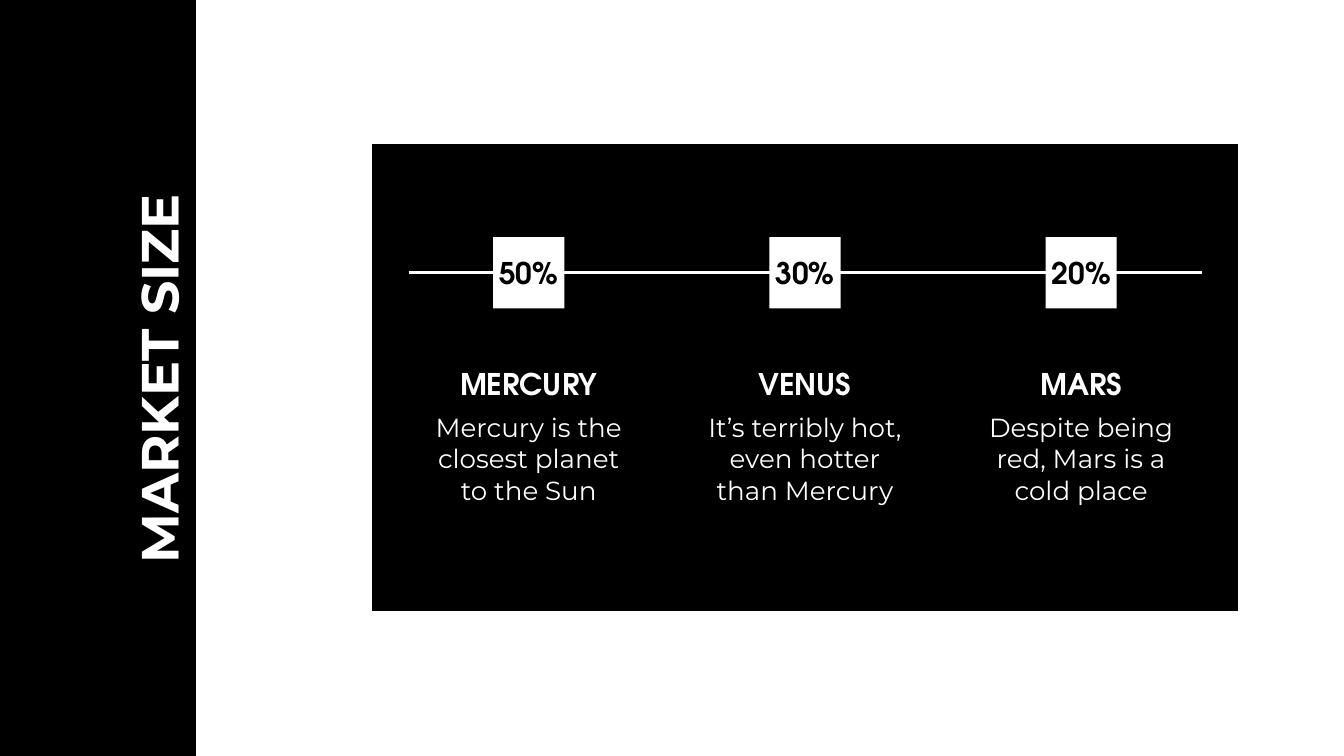
from pptx import Presentation
from pptx import util as u
from pptx.dml.color import RGBColor
from pptx.enum import shapes, text
from pptx.oxml.ns import qn
from lxml import etree

WIDE = 10
HIGH = WIDE * 9 / 16
BLACK, WHITE = "000000", "FFFFFF"
SANS, HEAD = "Montserrat", "TeX Gyre Adventor"
MID, STEP = 5.99, 4.11 / 2
AXIS, SIDE = 2.03, 0.53
PLANETS = [
    ("50%", "MERCURY", "Mercury is the closest planet to the Sun"),
    ("30%", "VENUS", "It’s terribly hot, even hotter than Mercury"),
    ("20%", "MARS", "Despite being red, Mars is a cold place"),
]


def color(code):
    """Turn a hex string into a colour."""
    return RGBColor.from_string(code)


def place(*sizes):
    """Turn lengths in inches into slide units."""
    return [u.Inches(size) for size in sizes]


def write(shape, words, font, size, code, bold=True, pad=0.1, wrap=True,
          anchor=text.MSO_ANCHOR.TOP):
    """Fill a shape with one centred paragraph."""
    frame = shape.text_frame
    frame.text = words
    frame.auto_size = text.MSO_AUTO_SIZE.NONE
    frame.word_wrap = wrap
    frame.vertical_anchor = anchor
    frame.margin_left = frame.margin_right = u.Inches(pad)
    frame.margin_top = frame.margin_bottom = u.Inches(pad)
    para = frame.paragraphs[0]
    para.alignment = text.PP_ALIGN.CENTER
    para.font.name, para.font.size = font, u.Pt(size)
    para.font.bold = bold
    para.font.color.rgb = color(code)


def block(slide, box, fill, edge=None):
    """Draw a flat rectangle, with an edge if one is given."""
    shape = slide.shapes.add_shape(shapes.MSO_SHAPE.RECTANGLE, *place(*box))
    shape.shadow.inherit = False
    shape.fill.solid()
    shape.fill.fore_color.rgb = color(fill)
    if edge:
        shape.line.color.rgb = color(edge)
        shape.line.width = u.Pt(1.5)
    else:
        shape.line.fill.background()
    return shape


def title(slide, words):
    """Turn the title placeholder to run up the side bar."""
    shape = slide.shapes.title
    shape.left, shape.top, shape.width, shape.height = place(-1.08, 2.51, 4.46, 0.62)
    shape.rotation = 270
    write(shape, words, SANS, 28, WHITE)
    tree = slide.shapes.element
    tree.remove(shape.element)
    tree.append(shape.element)


def axis(slide, left, right):
    """Draw the line that carries the shares."""
    line = slide.shapes.add_connector(
        shapes.MSO_CONNECTOR.STRAIGHT, *place(left, AXIS, right, AXIS))
    line.line.color.rgb = color(WHITE)
    line.line.width = u.Pt(1.5)
    etree.SubElement(line.element.spPr, qn("a:effectLst"))


def label(slide, box, words, *style):
    """Add a text box with one style."""
    write(slide.shapes.add_textbox(*place(*box)), words, *style)


def planet(slide, mid, share, name, note):
    """Add a share square with a name and a note below it."""
    square = block(slide, (mid - SIDE / 2, AXIS - SIDE / 2, SIDE, SIDE), WHITE)
    write(square, share, HEAD, 16, BLACK, pad=0, wrap=False,
          anchor=text.MSO_ANCHOR.MIDDLE)
    wide = 1.7
    left = mid - wide / 2
    label(slide, (left, 2.62, wide, 0.34), name, HEAD, 16, WHITE)
    label(slide, (left, 2.96, wide, 0.86), note, SANS, 14, WHITE, False)


def main():
    """Build the market size slide."""
    deck = Presentation()
    deck.slide_width, deck.slide_height = place(WIDE, HIGH)
    slide = deck.slides.add_slide(deck.slide_layouts[5])
    block(slide, (MID - 3.23, 1.06, 6.46, 3.5), BLACK, WHITE)
    block(slide, (-0.09, -0.04, 1.56, 5.75), BLACK, WHITE)
    title(slide, "MARKET SIZE")
    axis(slide, MID - 2.95, MID + 2.95)
    for col, data in enumerate(PLANETS):
        planet(slide, MID + (col - 1) * STEP, *data)
    deck.save("out.pptx")


if __name__ == "__main__":
    main()
